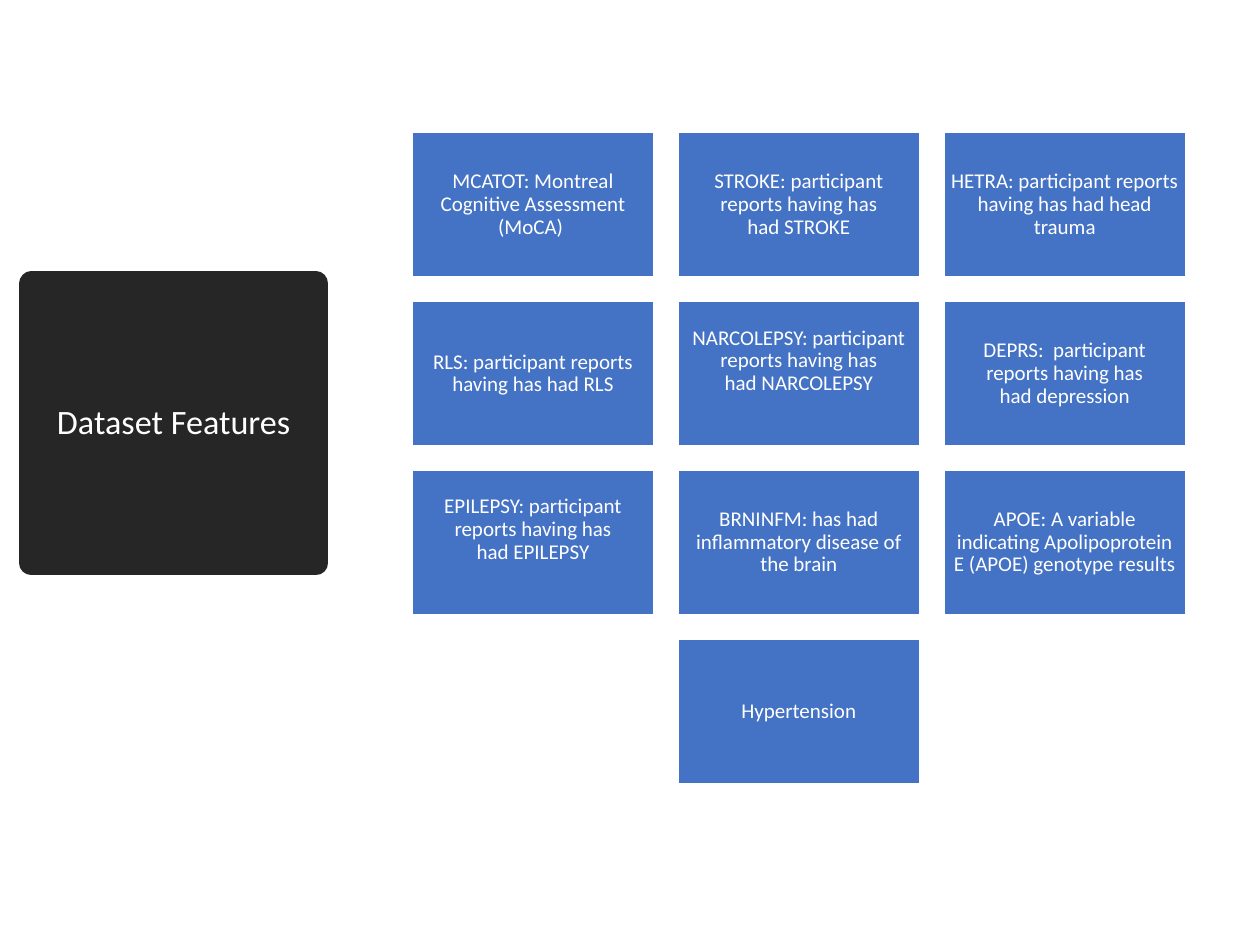
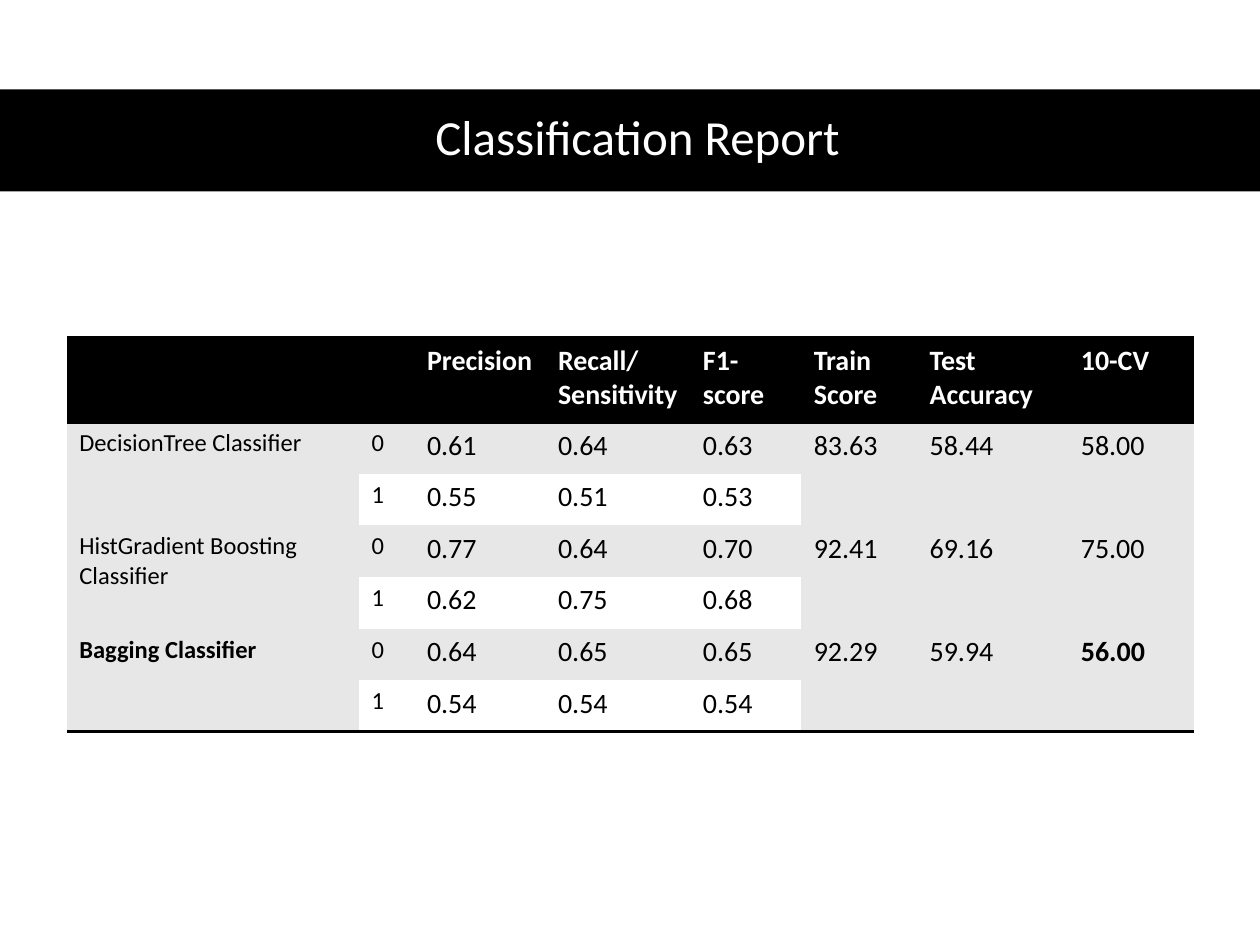
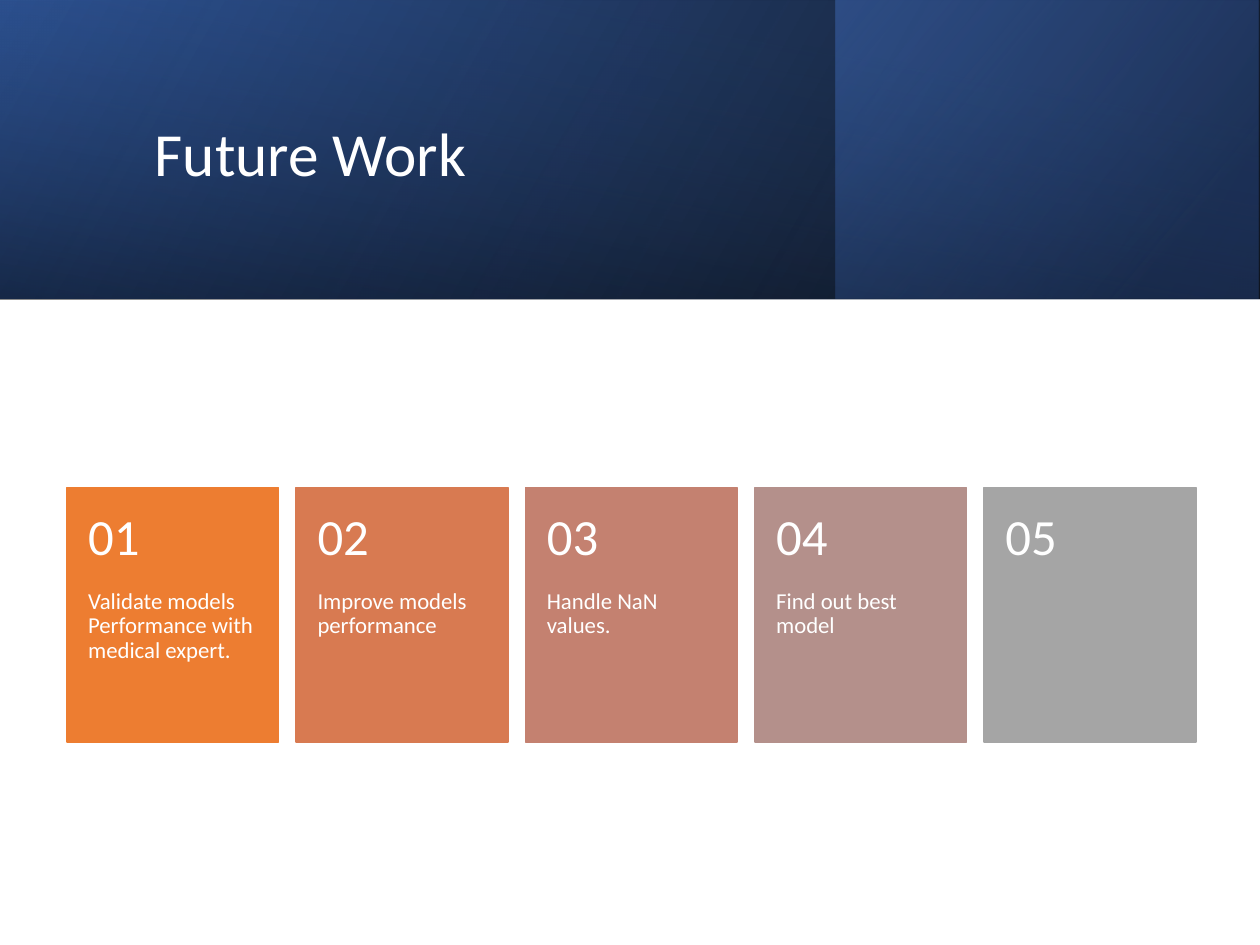
from dataclasses import dataclass
from typing import NamedTuple, Optional

from lxml.etree import SubElement
from pptx import Presentation
from pptx.dml.color import RGBColor
from pptx.enum.shapes import MSO_SHAPE as Shape
from pptx.enum.text import MSO_ANCHOR as Anchor, PP_ALIGN as Align
from pptx.oxml import parse_xml
from pptx.oxml.ns import nsdecls, qn
from pptx.util import Inches, Pt


@dataclass(frozen=True)
class Theme:
    """Colours, font and type sizes shared by the slides."""
    font: str = "Calibri"
    white: str = "FFFFFF"
    black: str = "000000"
    charcoal: str = "262626"
    blue: str = "4472C4"
    deep_blue: str = "2F5597"
    navy: str = "203864"
    stripe: str = "E7E7E7"
    cards: tuple = ("ED7D31", "D87A51", "C48170", "B4908B", "A5A5A5")
    badge_title: float = 19.5
    band_title: float = 28
    banner_title: float = 35
    tile: float = 12
    label: float = 14
    value: float = 16
    number: float = 29
    card: float = 13
    line_spacing: float = 0.9


THEME = Theme()


class Area(NamedTuple):
    """A rectangle on the slide, in inches."""
    left: float
    top: float
    width: float
    height: float

    def lengths(self) -> list:
        """Return the four values as lengths."""
        return [Inches(value) for value in self]


class TextStyle(NamedTuple):
    """How a block of text looks; insets are left, top, right, bottom."""
    size: float
    align: Align = Align.LEFT
    anchor: Anchor = Anchor.MIDDLE
    insets: tuple = (0.1, 0.05, 0.1, 0.05)


class Feature(NamedTuple):
    """A dataset feature tile; lift raises its text from the centre."""
    text: str
    column: int
    row: int
    lift: float = 0


class GradientStop(NamedTuple):
    """One gradient stop, with its position and opacity in percent."""
    position: int
    color: str
    opacity: int = 100


class BannerLayer(NamedTuple):
    """One of the gradient rectangles that make up the banner."""
    area: Area
    angle: int
    stops: tuple
    rotation: int = 0


class Model(NamedTuple):
    """Scores of one classifier: per class, then overall."""
    name: str
    class_scores: tuple
    overall: tuple
    bold_columns: tuple = ()


FEATURES = (
    Feature("MCATOT:\u00a0Montreal Cognitive Assessment (MoCA)\u00a0", 0, 0),
    Feature("STROKE: participant reports having\u00a0has had\u00a0STROKE", 1, 0),
    Feature("HETRA:\u00a0participant reports having\u00a0has had head trauma", 2, 0),
    Feature("RLS:\u00a0participant reports having has had RLS", 0, 1),
    Feature("NARCOLEPSY:\u00a0participant reports having has had\u00a0NARCOLEPSY", 1, 1, 0.2),
    Feature("DEPRS: \u00a0participant reports having has had\u00a0depression", 2, 1),
    Feature("EPILEPSY:\u00a0participant reports having has had\u00a0EPILEPSY", 0, 2, 0.2),
    Feature("BRNINFM:\u00a0has had inflammatory\u00a0disease of the brain", 1, 2),
    Feature("APOE:\u00a0A variable indicating Apolipoprotein E (APOE) genotype results", 2, 2),
    Feature("Hypertension", 1, 3),
)

HEADINGS = ("", "", "Precision", "Recall/ Sensitivity", "F1-score",
            "Train Score", "Test Accuracy", "10-CV")
COLUMN_WIDTHS = (2.32, 0.44, 1.04, 1.15, 0.88, 0.92, 1.2, 1)
HEADER_HEIGHT, ROW_HEIGHT = 0.67, 0.41
OVERALL_COLUMN = 5
NO_STYLE_NO_GRID = "{2D5ABB26-0587-4C30-8999-92F81FD0307C}"
MODELS = (
    Model("DecisionTree Classifier",
          (("0.61", "0.64", "0.63"), ("0.55", "0.51", "0.53")),
          ("83.63", "58.44", "58.00")),
    Model("HistGradient Boosting Classifier",
          (("0.77", "0.64", "0.70"), ("0.62", "0.75", "0.68")),
          ("92.41", "69.16", "75.00")),
    Model("Bagging Classifier",
          (("0.64", "0.65", "0.65"), ("0.54", "0.54", "0.54")),
          ("92.29", "59.94", "56.00"), (0, 7)),
)

BANNER = (
    BannerLayer(Area(0, 0, 10, 2.37), 330,
                (GradientStop(0, THEME.black, 96), GradientStop(100, THEME.deep_blue))),
    BannerLayer(Area(6.63, 0, 3.36, 2.37), 320,
                (GradientStop(19, THEME.navy, 68), GradientStop(100, THEME.blue, 48))),
    BannerLayer(Area(3.81, -3.81, 2.37, 10), 350,
                (GradientStop(23, THEME.deep_blue, 16), GradientStop(99, THEME.black, 45)), 270),
)

FUTURE_STEPS = ("Validate models Performance with medical expert.",
                "Improve models performance", "Handle NaN values.",
                "Find out best model", "")


def rgb(color: str) -> RGBColor:
    """Turn a hex string into a colour."""
    return RGBColor.from_string(color)


def format_span(span, size: float, color: str = THEME.white, bold: bool = False) -> None:
    """Give one run its font, size, colour and weight."""
    span.font.name = THEME.font
    span.font.size = Pt(size)
    span.font.bold = bold
    span.font.color.rgb = rgb(color)


def write(box, text: str, style: TextStyle) -> None:
    """Fill a shape or text box with white text."""
    frame = box.text_frame
    frame.text = text
    frame.word_wrap = True
    frame.vertical_anchor = style.anchor
    (frame.margin_left, frame.margin_top,
     frame.margin_right, frame.margin_bottom) = map(Inches, style.insets)
    for para in frame.paragraphs:
        para.alignment = style.align
        para.line_spacing = THEME.line_spacing
        for span in para.runs:
            format_span(span, style.size)


def add_text(page, area: Area, text: str, style: TextStyle) -> None:
    """Add a text box."""
    write(page.shapes.add_textbox(*area.lengths()), text, style)


def add_block(page, area: Area, fill: Optional[str] = None,
              line: Optional[str] = None, line_width: float = 1):
    """Add a flat rectangle, with an outline if a line colour is given."""
    box = page.shapes.add_shape(Shape.RECTANGLE, *area.lengths())
    box.shadow.inherit = False
    if fill:
        box.fill.solid()
        box.fill.fore_color.rgb = rgb(fill)
    if line:
        box.line.color.rgb = rgb(line)
        box.line.width = Pt(line_width)
    else:
        box.line.fill.background()
    return box


def add_banner_layer(page, layer: BannerLayer) -> None:
    """Add a mirrored rectangle with a translucent linear gradient."""
    box = add_block(page, layer.area)
    box.rotation = layer.rotation
    properties = box._element.spPr
    properties.find(qn("a:xfrm")).set("flipH", "1")
    gradient = parse_xml(f'<a:gradFill {nsdecls("a")} rotWithShape="1"/>')
    stop_list = SubElement(gradient, qn("a:gsLst"))
    for stop in layer.stops:
        node = SubElement(stop_list, qn("a:gs"), pos=str(stop.position * 1000))
        color = SubElement(node, qn("a:srgbClr"), val=stop.color)
        SubElement(color, qn("a:alpha"), val=str(stop.opacity * 1000))
    SubElement(gradient, qn("a:lin"), ang=str(layer.angle * 60000), scaled="0")
    properties.find(qn("a:prstGeom")).addnext(gradient)


def add_rule(cell, side: str) -> None:
    """Draw a black 2 pt border on the top (T) or bottom (B) of a cell."""
    cell._tc.get_or_add_tcPr().insert(0, parse_xml(
        f'<a:ln{side} {nsdecls("a")} w="{Pt(2)}"><a:solidFill>'
        f'<a:srgbClr val="{THEME.black}"/></a:solidFill></a:ln{side}>'))


def fill_cell(cell, text: str, fill: str, size: float,
              color: str = THEME.black, bold: bool = False) -> None:
    """Set the fill and the text of a table cell."""
    cell.fill.solid()
    cell.fill.fore_color.rgb = rgb(fill)
    cell.text = text
    for span in cell.text_frame.paragraphs[0].runs:
        format_span(span, size, color, bold)


def add_report_table(page) -> None:
    """Add the table of classifier scores, two rows for each model."""
    row_count = 1 + 2 * len(MODELS)
    area = Area(0.53, 2.68, sum(COLUMN_WIDTHS), HEADER_HEIGHT + ROW_HEIGHT * (row_count - 1))
    table = page.shapes.add_table(row_count, len(HEADINGS), *area.lengths()).table
    table.horz_banding = False
    table._tbl.tblPr.find(qn("a:tableStyleId")).text = NO_STYLE_NO_GRID
    for column, width in zip(table.columns, COLUMN_WIDTHS):
        column.width = Inches(width)
    for index, row in enumerate(table.rows):
        row.height = Inches(ROW_HEIGHT if index else HEADER_HEIGHT)

    for column, heading in enumerate(HEADINGS):
        cell = table.cell(0, column)
        fill_cell(cell, heading, THEME.black, THEME.value, THEME.white, True)
        add_rule(cell, "B")
        add_rule(cell, "T")

    for index, model in enumerate(MODELS):
        first_row = 1 + 2 * index
        for label, scores in enumerate(model.class_scores):
            outer = (model.name, model.overall) if label == 0 else ("", ("",) * 3)
            texts = (outer[0], str(label), *scores, *outer[1])
            for column, text in enumerate(texts):
                merged = column == 0 or column >= OVERALL_COLUMN
                fill = THEME.stripe if merged or label == 0 else THEME.white
                size = THEME.label if column < 2 else THEME.value
                cell = table.cell(first_row + label, column)
                fill_cell(cell, text, fill, size, bold=column in model.bold_columns)
                if model is MODELS[-1] and (merged or label == 1):
                    add_rule(cell, "B")
        for column in (0, *range(OVERALL_COLUMN, len(HEADINGS))):
            table.cell(first_row, column).merge(table.cell(first_row + 1, column))


def build_features(page) -> None:
    """Dataset features: a dark title badge and a grid of tiles."""
    badge = add_block(page, Area(0.25, 2.25, 2.26, 2.22),
                      THEME.charcoal, THEME.charcoal, 13.75)
    SubElement(badge.line._get_or_add_ln(), qn("a:round"))
    write(badge, "Dataset Features",
          TextStyle(THEME.badge_title, Align.CENTER, insets=(0.07, 0.04, 0.07, 0.04)))
    for feature in FEATURES:
        area = Area(3.27 + 2.11 * feature.column, 1.05 + 1.34 * feature.row, 1.92, 1.15)
        tile = add_block(page, area, THEME.blue, THEME.white)
        write(tile, feature.text,
              TextStyle(THEME.tile, Align.CENTER,
                        insets=(0.05, 0.05, 0.05, 0.05 + feature.lift)))


def build_report(page) -> None:
    """Classification report: a black title band and the score table."""
    add_block(page, Area(0, 0.71, 10, 0.81), THEME.black)
    add_text(page, Area(0.46, 0.7, 9.2, 0.81), "Classification Report",
             TextStyle(THEME.band_title, Align.CENTER))
    add_report_table(page)


def build_future_work(page) -> None:
    """Future work: a gradient banner and a row of numbered cards."""
    for layer in BANNER:
        add_banner_layer(page, layer)
    add_text(page, Area(1.13, 0.38, 7.97, 1.72), "Future Work",
             TextStyle(THEME.banner_title))
    number_style = TextStyle(THEME.number, insets=(0.17, 0.18, 0.17, 0.18))
    step_style = TextStyle(THEME.card, anchor=Anchor.TOP, insets=(0.17, 0, 0.17, 0.36))
    for index, (step, color) in enumerate(zip(FUTURE_STEPS, THEME.cards)):
        left = 0.53 + 1.82 * index
        add_block(page, Area(left, 3.87, 1.68, 2.02), color, color)
        if step:
            add_text(page, Area(left, 4.68, 1.68, 1.21), step, step_style)
        add_text(page, Area(left, 3.87, 1.68, 0.81), f"{index + 1:02d}", number_style)


def main() -> None:
    """Build the deck and save it."""
    deck = Presentation()
    deck.slide_width, deck.slide_height = Inches(10), Inches(7.5)
    blank = deck.slide_layouts[6]
    for build in (build_features, build_report, build_future_work):
        build(deck.slides.add_slide(blank))
    deck.save("out.pptx")


main()
